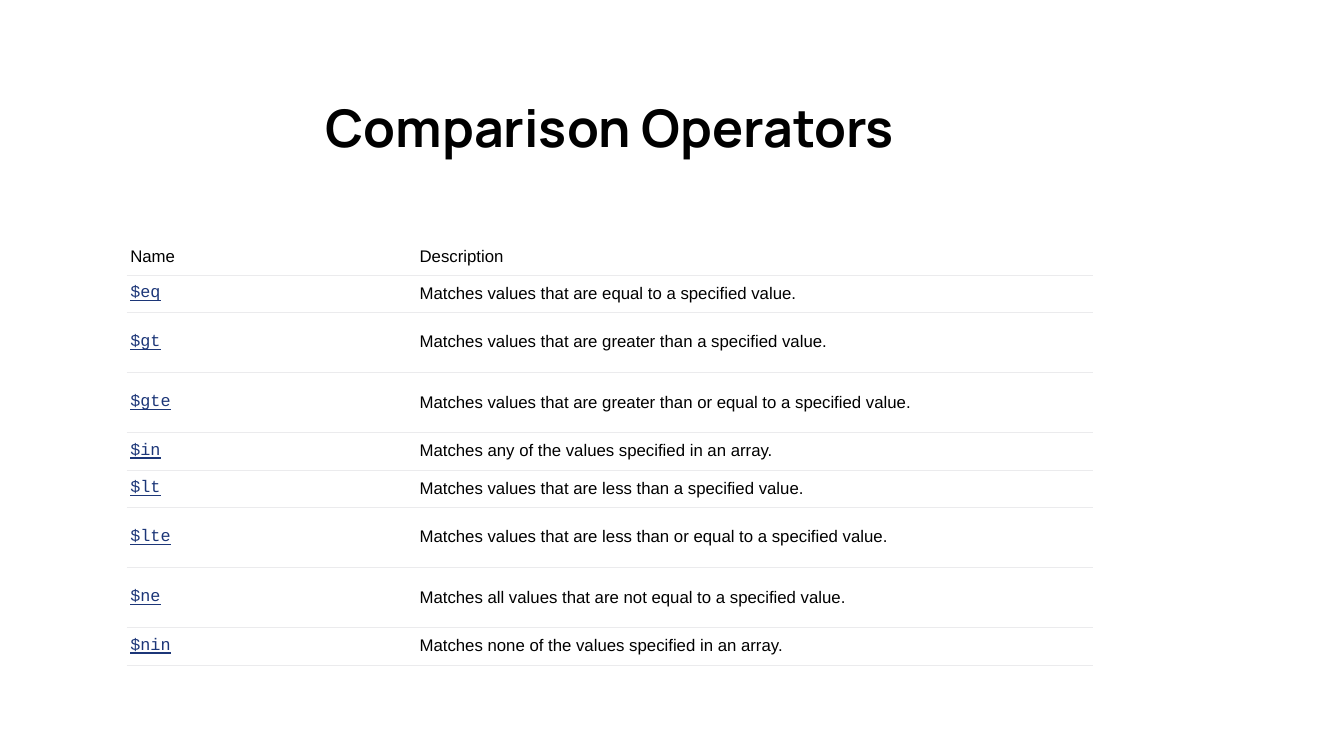
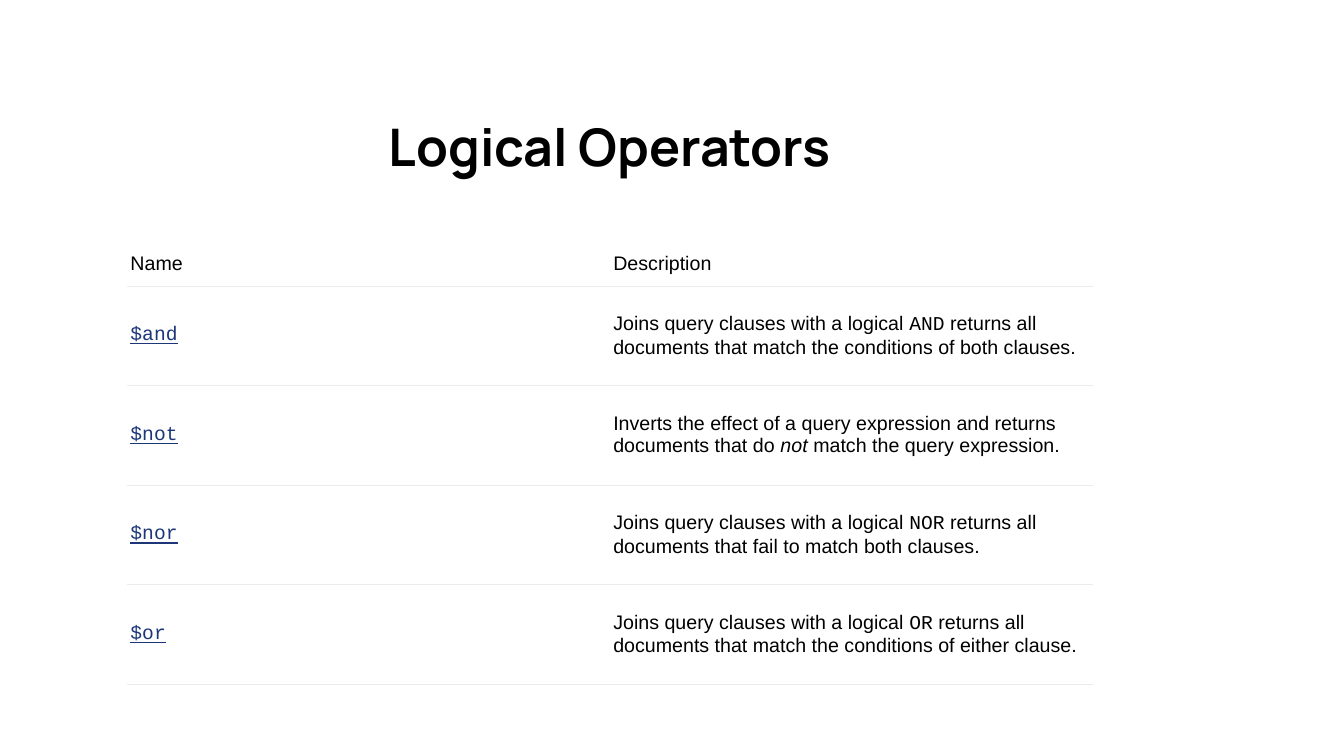
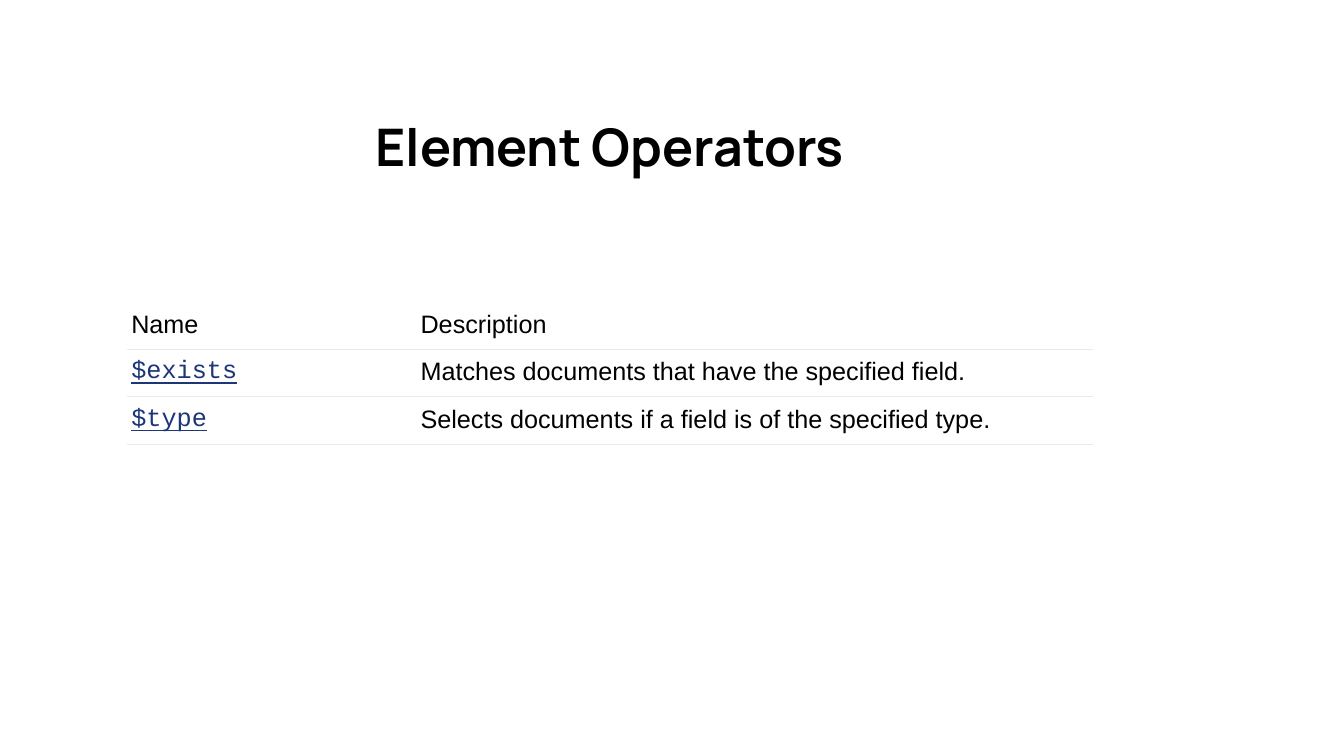
from lxml.etree import SubElement
from pptx import Presentation
from pptx.dml.color import RGBColor
from pptx.enum.text import MSO_ANCHOR as Anchor, PP_ALIGN as Align
from pptx.oxml import parse_xml
from pptx.oxml.ns import nsdecls, qn
from pptx.util import Pt

INK, LINK, RULE, PAPER = "000000", "1C3678", "EBEBED", "FFFFFF"
TITLE_FONT, BODY_FONT, CODE_FONT = "Manrope", "Arial", "Courier New"
NO_STYLE = "{2D5ABB26-0587-4C30-8999-92F81FD0307C}"
LEFT, WIDTH = 90.72, 689.76
HEADER = ("Name", "Description")
CODE = dict(font=CODE_FONT)
ITALIC = dict(italic=True)
OPERATOR = dict(font=CODE_FONT, color=LINK, underline=True)

SLIDES = [
    dict(
        title="Comparison Operators", title_top=48.24, title_height=84.24,
        top=172.08, name_width=206.64, size=12, side=2.4,
        header_top=2.4, body_top=4.3, bottom=5,
        heights=[24.48, 26.7, 42.95, 42.95, 26.7, 26.7, 42.95, 42.95, 26.7],
        rows=[
            ("$eq", ["Matches values that are equal to a specified value."]),
            ("$gt", ["Matches values that are greater than a specified value."]),
            ("$gte", ["Matches values that are greater than or equal to a specified value."]),
            ("$in", ["Matches any of the values specified in an array."]),
            ("$lt", ["Matches values that are less than a specified value."]),
            ("$lte", ["Matches values that are less than or equal to a specified value."]),
            ("$ne", ["Matches all values that are not equal to a specified value."]),
            ("$nin", ["Matches none of the values specified in an array."]),
        ],
    ),
    dict(
        title="Logical Operators", title_top=76.32, title_height=55.44,
        top=174.96, name_width=WIDTH / 2, size=14, side=2.5,
        header_top=2.9, body_top=5, bottom=5.8,
        heights=[29.52] + [71.1] * 4,
        rows=[
            ("$and", ["Joins query clauses with a logical ", ("AND", CODE),
                      " returns all documents that match the conditions of both clauses."]),
            ("$not", ["Inverts the effect of a query expression and returns documents that do ",
                      ("not", ITALIC), " match the query expression."]),
            ("$nor", ["Joins query clauses with a logical ", ("NOR", CODE),
                      " returns all documents that fail to match both clauses."]),
            ("$or", ["Joins query clauses with a logical ", ("OR", CODE),
                     " returns all documents that match the conditions of either clause."]),
        ],
    ),
    dict(
        title="Element Operators", title_top=76.32, title_height=55.44,
        top=218.16, name_width=206.64, size=18, side=3.1,
        header_top=3.6, body_top=6.3, bottom=7.2,
        heights=[31.2, 34, 34],
        rows=[
            ("$exists", ["Matches documents that have the specified field."]),
            ("$type", ["Selects documents if a field is of the specified type."]),
        ],
    ),
]


def rgb(value):
    return RGBColor.from_string(value)


def add_text(para, text, size, font=BODY_FONT, color=INK, bold=False, italic=False, underline=False):
    span = para.add_run()
    span.text = text
    style = span.font
    style.name, style.size = font, Pt(size)
    style.bold, style.italic, style.underline = bold, italic, underline
    style.color.rgb = rgb(color)


def add_title(page, item):
    box = page.shapes.title
    box.left, box.top = Pt(LEFT), Pt(item["title_top"])
    box.width, box.height = Pt(WIDTH), Pt(item["title_height"])
    box.text_frame.vertical_anchor = Anchor.MIDDLE
    para = box.text_frame.paragraphs[0]
    para.alignment = Align.CENTER
    add_text(para, item["title"], 37, font=TITLE_FONT, bold=True)


def add_rule(cell):
    properties = cell._tc.get_or_add_tcPr()
    line = parse_xml(f'<a:lnB {nsdecls("a")} w="{Pt(0.75)}"/>')
    fill = SubElement(line, qn("a:solidFill"))
    SubElement(fill, qn("a:srgbClr"), val=RULE)
    properties.insert(0, line)


def fill_cell(cell, spans, item, is_header):
    cell.fill.solid()
    cell.fill.fore_color.rgb = rgb(PAPER)
    cell.vertical_anchor = Anchor.MIDDLE
    cell.margin_left = cell.margin_right = Pt(item["side"])
    cell.margin_top = Pt(item["header_top"] if is_header else item["body_top"])
    cell.margin_bottom = Pt(item["bottom"])
    for span in spans:
        text, style = (span, {}) if isinstance(span, str) else span
        add_text(cell.text_frame.paragraphs[0], text, item["size"], **style)
    add_rule(cell)


def add_operators(page, item):
    heights = item["heights"]
    frame = page.shapes.add_table(len(heights), 2, Pt(LEFT), Pt(item["top"]),
                                  Pt(WIDTH), Pt(sum(heights)))
    table = frame.table
    table.horz_banding = False
    table._tbl.tblPr.find(qn("a:tableStyleId")).text = NO_STYLE
    for column, width in zip(table.columns, (item["name_width"], WIDTH - item["name_width"])):
        column.width = Pt(width)
    rows = [[[label] for label in HEADER]]
    rows += [([(name, OPERATOR)], description) for name, description in item["rows"]]
    for index, (row, height, contents) in enumerate(zip(table.rows, heights, rows)):
        row.height = Pt(height)
        for cell, spans in zip(row.cells, contents):
            fill_cell(cell, spans, item, is_header=index == 0)


def main():
    deck = Presentation()
    deck.slide_width, deck.slide_height = Pt(960), Pt(540)
    for item in SLIDES:
        page = deck.slides.add_slide(deck.slide_layouts[5])
        add_title(page, item)
        add_operators(page, item)
    deck.save("out.pptx")


if __name__ == "__main__":
    main()
